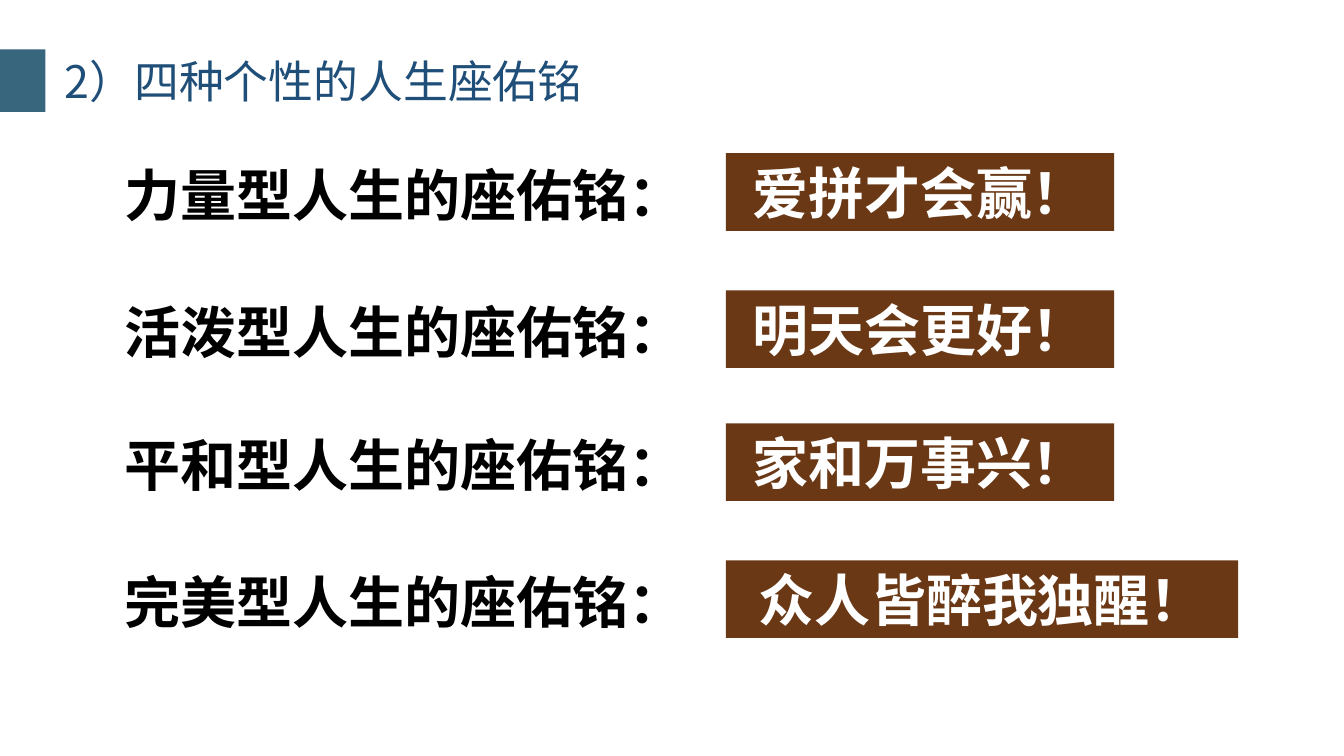
from dataclasses import dataclass

from lxml import etree
from pptx import Presentation
from pptx.dml.color import RGBColor
from pptx.enum import lang, shapes, text
from pptx.oxml import ns
from pptx.shapes.autoshape import Shape
from pptx.slide import Slide
from pptx.util import Inches, Pt


@dataclass(frozen=True)
class Theme:
    font: str = "Noto Sans CJK SC"
    head: str = "1F4E79"
    mark: str = "37667D"
    label: str = "000000"
    plate: str = "6A3815"
    motto: str = "FFFFFF"
    head_size: int = 32
    row_size: int = 40


@dataclass(frozen=True)
class Box:
    left: float
    top: float
    width: float
    height: float

    def place(self) -> tuple[int, int, int, int]:
        return (Inches(self.left), Inches(self.top),
                Inches(self.width), Inches(self.height))


@dataclass(frozen=True)
class Row:
    kind: str
    motto: str
    top: float
    width: float = 3.85


THEME = Theme()
ROWS = [
    Row("力量型", "爱拼才会赢！", 1.52),
    Row("活泼型", "明天会更好！", 2.88),
    Row("平和型", "家和万事兴！", 4.2),
    Row("完美型", "众人皆醉我独醒！", 5.56, width=5.08),
]


def write(shape: Shape, words: str, size: int, color: str, bold: bool = True,
          align: text.PP_ALIGN = text.PP_ALIGN.CENTER,
          pad: tuple[float, float] = (0.1, 0.05)) -> None:
    """Fill a shape with one line; pad holds the side and top insets."""
    frame = shape.text_frame
    frame.word_wrap = True
    frame.auto_size = text.MSO_AUTO_SIZE.SHAPE_TO_FIT_TEXT
    frame.vertical_anchor = text.MSO_ANCHOR.TOP
    frame.margin_left = frame.margin_right = Inches(pad[0])
    frame.margin_top = frame.margin_bottom = Inches(pad[1])
    line = frame.paragraphs[0]
    line.alignment = align
    run = line.add_run()
    run.text = words
    font = run.font
    font.name, font.size, font.bold = THEME.font, Pt(size), bold
    font.color.rgb = RGBColor.from_string(color)
    font.language_id = lang.MSO_LANGUAGE_ID.SIMPLIFIED_CHINESE
    # East Asian glyphs take their typeface from a:ea, after a:latin
    asian = etree.Element(ns.qn("a:ea"), typeface=THEME.font)
    run._r.rPr.find(ns.qn("a:latin")).addnext(asian)


def block(slide: Slide, box: Box, color: str) -> Shape:
    """Add a plain filled rectangle."""
    shape = slide.shapes.add_shape(shapes.MSO_SHAPE.RECTANGLE, *box.place())
    shape.shadow.inherit = False
    shape.fill.solid()
    shape.fill.fore_color.rgb = RGBColor.from_string(color)
    shape.line.fill.background()
    return shape


def add_row(slide: Slide, row: Row) -> None:
    label = slide.shapes.add_textbox(*Box(1.01, row.top, 6, 0.81).place())
    write(label, f"{row.kind}人生的座佑铭：", THEME.row_size, THEME.label,
          pad=(0.13, 0.07))
    plate = block(slide, Box(7.2, row.top, row.width, 0.77), THEME.plate)
    write(plate, row.motto, THEME.row_size, THEME.motto)


def add_head(slide: Slide) -> None:
    block(slide, Box(0, 0.49, 0.45, 0.62), THEME.mark)
    title = slide.shapes.title
    title.left, title.top, title.width, title.height = Box(
        0.54, 0.48, 6.11, 0.64).place()
    write(title, "2）四种个性的人生座佑铭", THEME.head_size, THEME.head,
          bold=False, align=text.PP_ALIGN.LEFT)


def main() -> None:
    deck = Presentation()
    deck.slide_width, deck.slide_height = Inches(13.33), Inches(7.5)
    slide = deck.slides.add_slide(deck.slide_layouts.get_by_name("Title Only"))
    for row in ROWS:
        add_row(slide, row)
    add_head(slide)
    deck.save("out.pptx")


if __name__ == "__main__":
    main()
